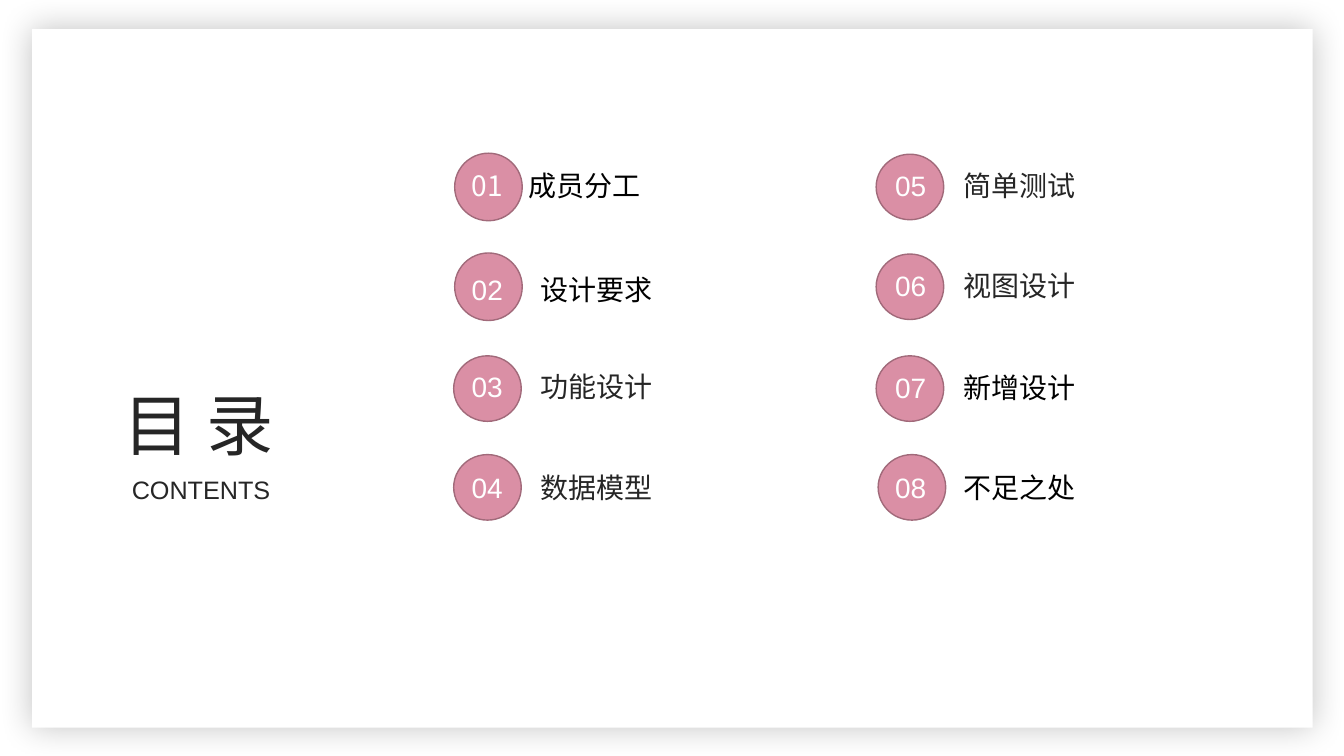
from lxml import etree
from pptx import Presentation
from pptx.dml.color import RGBColor
from pptx.enum import shapes, text
from pptx.oxml import ns
from pptx.util import Inches, Pt

HUES = {"white": "FFFFFF", "pink": "DA8FA5", "rim": "A16A7A",
        "dark": "262626", "black": "000000"}
LATIN, HAN = "Arial", "Noto Sans CJK SC"

# number, label, label colour, number font, tab, circle box, text box
ITEMS = [
    ("01", "成员分工", "black", HAN, 0.56, (4.51, 1.52, 0.67), (4.58, 1.62, 3.85, 0.44)),
    ("02", "设计要求", "black", LATIN, 0.68, (4.51, 2.51, 0.67), (4.58, 2.65, 2.72, 0.44)),
    ("03", "功能设计", "dark", LATIN, 0.68, (4.5, 3.53, 0.65), (4.58, 3.62, 4.56, 0.82)),
    ("04", "数据模型", "dark", LATIN, 0.68, (4.5, 4.51, 0.65), (4.58, 4.62, 4.56, 0.82)),
    ("05", "简单测试", "dark", LATIN, 0.68, (8.69, 1.53, 0.65), (8.78, 1.62, 4.56, 0.82)),
    ("06", "视图设计", "dark", LATIN, 0.68, (8.69, 2.52, 0.65), (8.78, 2.61, 4.56, 0.82)),
    ("07", "新增设计", "black", LATIN, 0.68, (8.69, 3.53, 0.65), (8.78, 3.63, 4.56, 0.82)),
    ("08", "不足之处", "black", LATIN, 0.68, (8.71, 4.51, 0.65), (8.78, 4.62, 2.41, 0.44)),
]
HEADS = [
    ("目 录", 48, (1.13, 3.75, 1.75, 0.91), text.PP_ALIGN.LEFT, text.MSO_ANCHOR.MIDDLE),
    ("CONTENTS", 18, (1.18, 4.66, 1.63, 0.4), text.PP_ALIGN.CENTER, text.MSO_ANCHOR.TOP),
]


def hue(name):
    return RGBColor.from_string(HUES[name])


def node(up, tag, **attrs):
    return etree.SubElement(up, ns.qn(tag), attrs)


def draw(kind, box, fill, rim=None):
    part = slide.shapes.add_shape(kind, *map(Inches, box))
    part.shadow.inherit = False
    part.fill.solid()
    part.fill.fore_color.rgb = hue(fill)
    if rim:
        part.line.color.rgb = hue(rim)
        part.line.width = Pt(1)
    else:
        part.line.fill.background()
    return part


def write(box, size, face):
    frame = slide.shapes.add_textbox(*map(Inches, box)).text_frame
    frame.word_wrap = True
    para = frame.paragraphs[0]
    para.font.size = Pt(size)
    para.font.name = face
    node(para.font._element, "a:ea", typeface=HAN)
    return frame, para


def add_run(para, words, color):
    run = para.add_run()
    run.text = words
    run.font.color.rgb = hue(color)


def add_tab(para, place):
    props = para._p.get_or_add_pPr()
    tabs = etree.Element(ns.qn("a:tabLst"))
    node(tabs, "a:tab", pos=str(Inches(place)), algn="l")
    props.insert(0, tabs)


deck = Presentation()
deck.slide_width, deck.slide_height = Inches(13.33), Inches(7.5)
slide = deck.slides.add_slide(deck.slide_layouts[6])

card = draw(shapes.MSO_SHAPE.RECTANGLE, (0.32, 0.29, 12.7, 6.93), "white")
glow = node(card._element.spPr.find(ns.qn("a:effectLst")), "a:outerShdw",
            blurRad=str(Pt(24)), dist="0", dir="0", algn="ctr", rotWithShape="0")
node(node(glow, "a:srgbClr", val=HUES["black"]), "a:alpha", val="23000")

for num, label, color, face, tab, (left, top, tall), box in ITEMS:
    draw(shapes.MSO_SHAPE.OVAL, (left, top, 0.67, tall), "pink", "rim")
    frame, para = write(box, 20, face)
    add_tab(para, tab)
    add_run(para, num + "\t", "white")
    add_run(para, label, color)

for words, size, box, align, anchor in HEADS:
    frame, para = write(box, size, LATIN)
    frame.vertical_anchor = anchor
    para.alignment = align
    para.font.color.rgb = hue("dark")
    para.add_run().text = words

deck.save("out.pptx")
